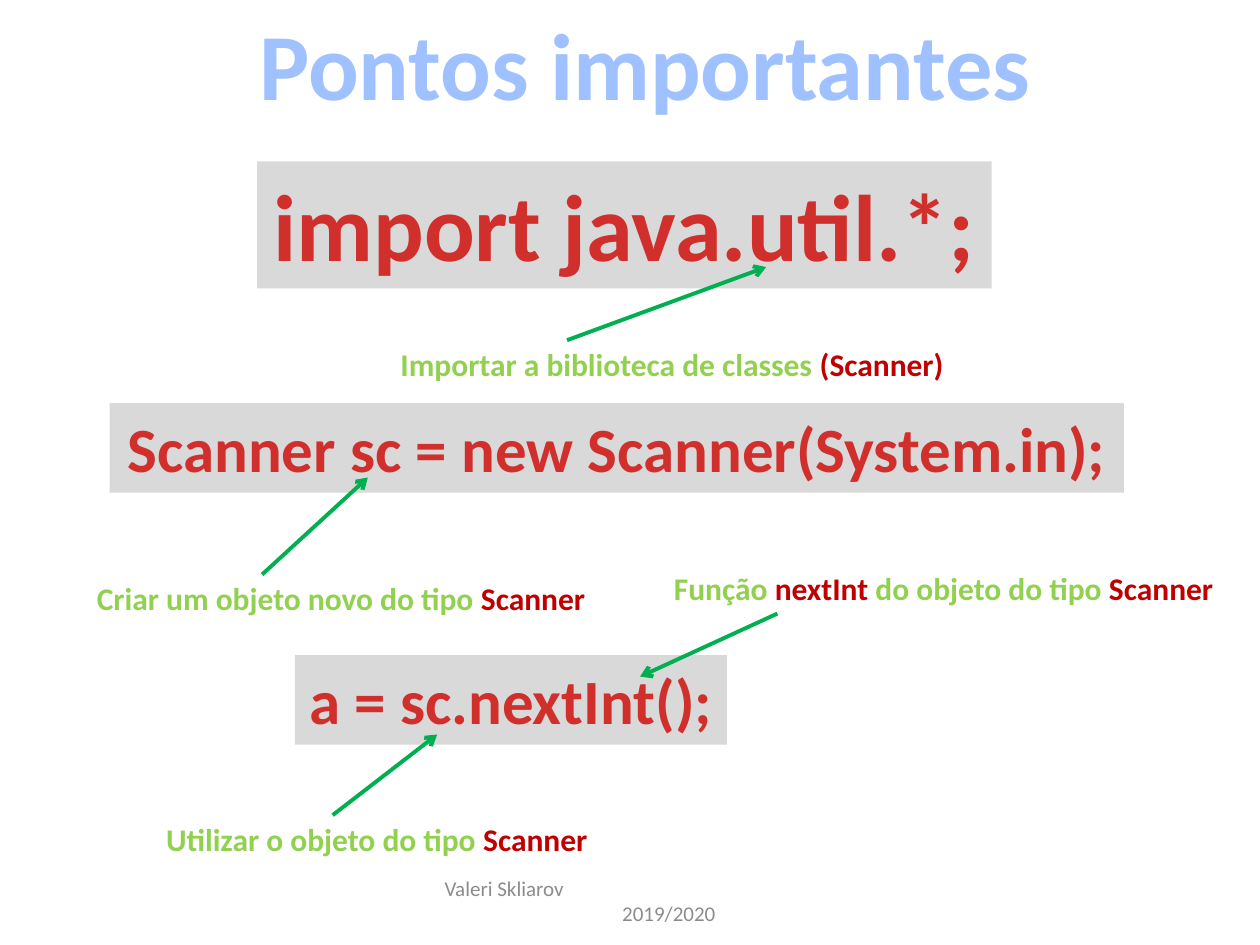
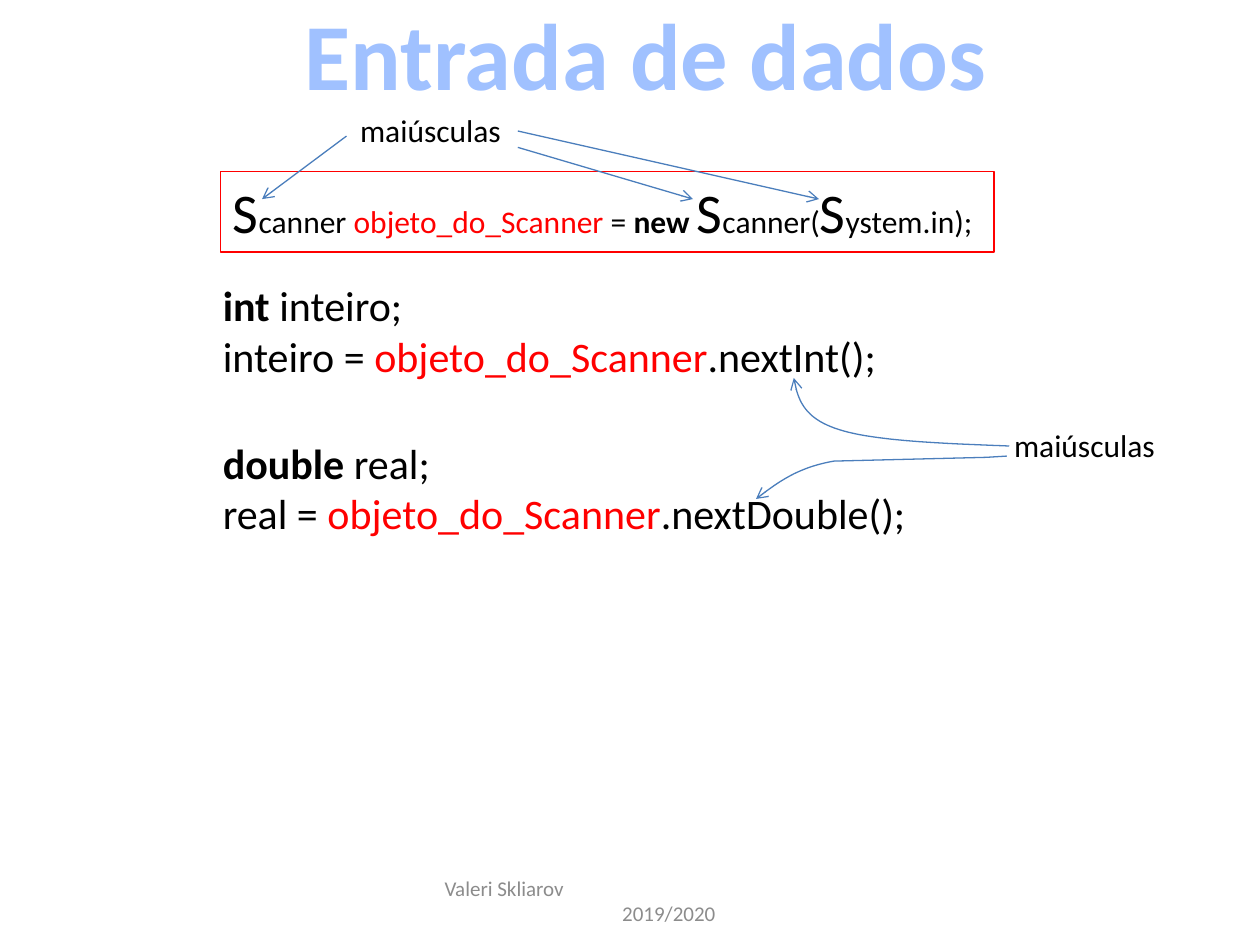
"""Builds two slides on reading input with the Java Scanner class."""
from lxml import etree
from pptx import Presentation
from pptx import util as u
from pptx.dml.color import RGBColor
from pptx.enum import shapes, text
from pptx.oxml import ns

FONT = "Calibri"
TITLE = RGBColor(0xA0, 0xC1, 0xFF)
CODE = RGBColor(0xD0, 0x2F, 0x2C)
PANEL = RGBColor(0xD9, 0xD9, 0xD9)
LIME = RGBColor(0x92, 0xD0, 0x50)
MAROON = RGBColor(0xC0, 0x00, 0x00)
GREEN = RGBColor(0x00, 0xB0, 0x50)
BLUE = RGBColor(0x4B, 0x7E, 0xBC)
RED = RGBColor(0xFF, 0x00, 0x00)
BLACK = RGBColor(0x00, 0x00, 0x00)
GREY = RGBColor(0x8C, 0x8C, 0x8C)

FOOTER = (("Valeri Skliarov", 0), ("2019/2020", 1.41))

CODE_PANELS = [
    ("import java.util.*;", 54, (2.04, 1.28, 5.83, 1.01)),
    ("Scanner sc = new Scanner(System.in);", 36, (0.87, 3.2, 8.05, 0.71)),
    ("a = sc.nextInt();", 36, (2.34, 5.2, 3.43, 0.71)),
]
NOTES = [
    (["Importar a biblioteca de classes ", "(Scanner)"],
     (3.08, 2.69, 4.59, 0.4), (4.5, 2.7), (6.08, 2.12)),
    (["Criar um objeto novo do tipo ", "Scanner"],
     (0.67, 4.55, 4.11, 0.4), (2.08, 4.56), (2.92, 3.79)),
    (["Utilizar o objeto do tipo ", "Scanner"],
     (1.22, 6.46, 3.57, 0.4), (2.64, 6.47), (3.47, 5.83)),
    (["Função ", "nextInt", " do objeto do tipo ", "Scanner"],
     (5.25, 4.47, 4.62, 0.4), (6.17, 4.87), (5.08, 5.37)),
]

OBJECT = ("objeto_do_Scanner", {"color": RED})
BIG_S = ("S", {"size": 32})
DECLARATION = [BIG_S, ("canner ", {}), OBJECT, (" = ", {}), ("new ", {"bold": True}),
               BIG_S, ("canner(", {}), BIG_S, ("ystem.in);", {})]
READINGS = [
    ("int", "inteiro", "nextInt", (1.67, 2.17, 5.4, 0.91)),
    ("double", "real", "nextDouble", (1.67, 3.42, 5.83, 0.91)),
]
CAPITALS = [(2.76, 0.83, 1.34, 0.4), (7.95, 3.33, 1.34, 0.4)]
CAPITAL_ARROWS = [
    ((2.75, 1.08), (2.08, 1.58)),
    ((4.11, 1.17), (5.5, 1.58)),
    ((4.11, 1.04), (6.5, 1.58)),
]
CAPITAL_CURVES = [
    [(8.01, 3.54), ((7.48, 3.52), (6.94, 3.5), (6.66, 3.41)),
     ((6.37, 3.32), (6.33, 3.16), (6.3, 3))],
    [(7.99, 3.62), ((7.83, 3.63),), ((6.62, 3.66),),
     ((6.32, 3.71), (6.16, 3.84), (6, 3.96))],
]


def inches(values):
    return [u.Inches(v) for v in values]


def write(p, runs, size, color=BLACK, bold=False):
    p.font.name, p.font.size = FONT, u.Pt(size)
    for words, style in runs:
        r = p.add_run()
        r.text = words
        r.font.color.rgb = style.get("color", color)
        r.font.bold = style.get("bold", bold)
        if "size" in style:
            r.font.size = u.Pt(style["size"])


def fill_text(sp, lines, size, align=text.PP_ALIGN.LEFT, **style):
    tf = sp.text_frame
    tf.word_wrap = False
    tf.auto_size = text.MSO_AUTO_SIZE.SHAPE_TO_FIT_TEXT
    tf.vertical_anchor = text.MSO_ANCHOR.TOP
    for i, runs in enumerate(lines):
        p = tf.add_paragraph() if i else tf.paragraphs[0]
        p.alignment = align
        write(p, runs, size, **style)


def add_text(s, box, lines, size, **style):
    fill_text(s.shapes.add_textbox(*inches(box)), lines, size, **style)


def add_panel(s, box, fill=None, line=None):
    sp = s.shapes.add_shape(shapes.MSO_SHAPE.RECTANGLE, *inches(box))
    sp.shadow.inherit = False
    for part, color in ((sp.fill, fill), (sp.line.fill, line)):
        if color is None:
            part.background()
        else:
            part.solid()
            part.fore_color.rgb = color
    if line is not None:
        sp.line.width = u.Pt(0.75)
    return sp


def style_arrow(sp, color, width):
    sp.line.color.rgb = color
    sp.line.width = u.Pt(width)
    etree.SubElement(sp.element.spPr.get_or_add_ln(), ns.qn("a:tailEnd"), type="arrow")


def add_arrow(s, start, end, color, width):
    sp = s.shapes.add_connector(shapes.MSO_CONNECTOR.STRAIGHT, *inches(start + end))
    style_arrow(sp, color, width)
    etree.SubElement(sp.element.spPr, ns.qn("a:effectLst"))


def trace(start, segments, steps=24):
    points = []
    for segment in segments:
        if len(segment) == 3:
            for i in range(1, steps + 1):
                t = i / steps
                weights = ((1 - t) ** 3, 3 * t * (1 - t) ** 2, 3 * t * t * (1 - t), t ** 3)
                points.append(tuple(sum(w * c for w, c in zip(weights, axis))
                                    for axis in zip(start, *segment)))
        else:
            points.append(segment[0])
        start = segment[-1]
    return points


def add_curve(s, start, *segments):
    builder = s.shapes.build_freeform(*inches(start))
    builder.add_line_segments([inches(point) for point in trace(start, segments)], close=False)
    sp = builder.convert_to_shape()
    sp.shadow.inherit = False
    sp.fill.background()
    style_arrow(sp, BLUE, 0.75)


def add_slide(prs, title, box):
    s = prs.slides.add_slide(prs.slide_layouts[5])
    sp = s.shapes.title
    sp.left, sp.top, sp.width, sp.height = inches(box)
    fill_text(sp, [[(title, {})]], 54, align=text.PP_ALIGN.CENTER, color=TITLE, bold=True)
    tf = s.shapes.add_textbox(*inches((3.43, 6.95, 3.17, 0.4))).text_frame
    tf.word_wrap = True
    tf.vertical_anchor = text.MSO_ANCHOR.MIDDLE
    for i, (words, indent) in enumerate(FOOTER):
        p = tf.add_paragraph() if i else tf.paragraphs[0]
        p._p.get_or_add_pPr().set("marL", str(u.Inches(indent)))
        write(p, [(words, {})], 12, color=GREY)
    return s


def build_key_points(prs):
    s = add_slide(prs, "Pontos importantes", (1.93, 0, 6.38, 1.01))
    for code, size, box in CODE_PANELS:
        fill_text(add_panel(s, box, fill=PANEL), [[(code, {})]], size,
                  align=text.PP_ALIGN.CENTER, color=CODE, bold=True)
    for words, box, start, end in NOTES:
        runs = [(w, {"color": MAROON if i % 2 else LIME}) for i, w in enumerate(words)]
        add_arrow(s, start, end, GREEN, 2.25)
        add_text(s, box, [runs], 18, bold=True)


def build_data_input(prs):
    s = add_slide(prs, "Entrada de dados", (2.29, -0.08, 5.67, 1.01))
    fill_text(add_panel(s, (1.75, 1.36, 6.14, 0.64), line=RED), [DECLARATION], 18)
    for kind, name, method, box in READINGS:
        add_text(s, box, [[(kind, {"bold": True}), (f" {name};", {})],
                          [(f"{name} = ", {}), OBJECT, (f".{method}();", {})]], 24)
    for box in CAPITALS:
        add_text(s, box, [[("maiúsculas", {})]], 18)
    for start, end in CAPITAL_ARROWS:
        add_arrow(s, start, end, BLUE, 0.75)
    for curve in CAPITAL_CURVES:
        add_curve(s, *curve)


prs = Presentation()
prs.slide_width, prs.slide_height = inches((10, 7.5))
build_key_points(prs)
build_data_input(prs)
prs.save("out.pptx")
